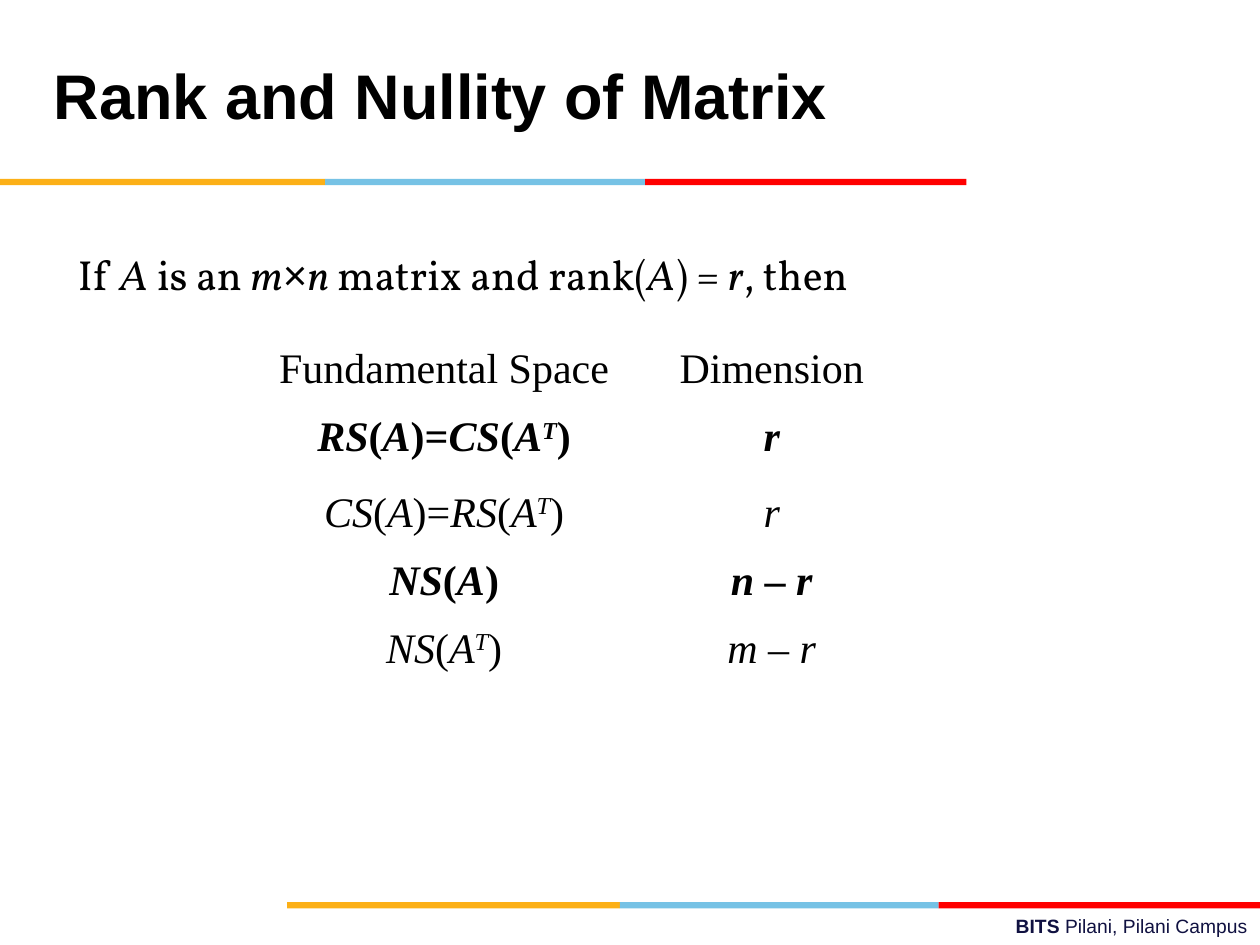
from pptx import Presentation
from pptx.dml.color import RGBColor
from pptx.enum.shapes import MSO_SHAPE
from pptx.enum.text import MSO_ANCHOR, PP_ALIGN
from pptx.util import Inches, Pt

RECTANGLE = MSO_SHAPE.RECTANGLE
TOP, MIDDLE = MSO_ANCHOR.TOP, MSO_ANCHOR.MIDDLE
LEFT, CENTER, RIGHT = PP_ALIGN.LEFT, PP_ALIGN.CENTER, PP_ALIGN.RIGHT

COLORS = {
    "amber": "FCB017",
    "blue": "76C2E5",
    "red": "FF0000",
    "black": "000000",
    "navy": "101141",
}
SANS, SERIF, BODY = "Arial", "Times New Roman", "Vollkorn"

ROW_HEIGHTS = [0.54, 0.6, 0.54, 0.54, 0.54]
COLUMN_WIDTHS = [2.83, 2.37]
SPACES = [
    ("Fundamental Space", "Dimension", False),
    ("*RS*(*A*)=*CS*(*A^T*)", "*r*", True),
    ("*CS*(*A*)=*RS*(*A^T*)", "*r*", False),
    ("*NS*(*A*)", "*n *–* r*", True),
    ("*NS*(*A^T*)", "*m *–* r*", False),
]


class SlideBuilder:
    def __init__(self, page):
        self.page = page

    def span(self, para, text, font, size, color, bold, italic=False, raised=False):
        if not text:
            return
        span = para.add_run()
        span.text = text
        span.font.name = font
        span.font.size = Pt(size)
        span.font.bold = bold
        span.font.italic = italic
        span.font.color.rgb = RGBColor.from_string(COLORS[color])
        if raised:
            span.font._element.set("baseline", "30000")

    def add_markup(self, para, markup, font, size, color="black", bold=False):
        """Append runs: *...* is italic, and ^ raises the rest of an italic part."""
        for index, part in enumerate(markup.split("*")):
            italic = index % 2 == 1
            base, _, power = part.partition("^")
            self.span(para, base, font, size, color, bold, italic)
            self.span(para, power, font, size, color, bold, italic, raised=True)

    def text_box(self, left, top, width, height, align=LEFT, anchor=TOP, wrap=True):
        """Add an empty text box and return its first paragraph."""
        box = self.page.shapes.add_textbox(
            Inches(left), Inches(top), Inches(width), Inches(height))
        box.text_frame.word_wrap = wrap
        box.text_frame.vertical_anchor = anchor
        para = box.text_frame.paragraphs[0]
        para.alignment = align
        return para

    def stripe(self, left, top, widths):
        """Draw the three-colour rule, segment after segment."""
        for color, width in zip(("amber", "blue", "red"), widths):
            bar = self.page.shapes.add_shape(
                RECTANGLE, Inches(left), Inches(top), Inches(width), Inches(0.05))
            bar.shadow.inherit = False
            bar.fill.solid()
            bar.fill.fore_color.rgb = RGBColor.from_string(COLORS[color])
            bar.line.fill.background()
            left += width

    def table(self, left, top, rows):
        table = self.page.shapes.add_table(
            len(rows), len(COLUMN_WIDTHS), Inches(left), Inches(top),
            Inches(sum(COLUMN_WIDTHS)), Inches(sum(ROW_HEIGHTS))).table
        table.first_row = table.horz_banding = False
        for column, width in zip(table.columns, COLUMN_WIDTHS):
            column.width = Inches(width)
        for row, height, (space, dimension, bold) in zip(table.rows, ROW_HEIGHTS, rows):
            row.height = Inches(height)
            for cell, markup in zip(row.cells, (space, dimension)):
                cell.fill.background()
                para = cell.text_frame.paragraphs[0]
                para.alignment = CENTER
                self.add_markup(para, markup, SERIF, 24, bold=bold)


def main():
    deck = Presentation()
    deck.slide_width, deck.slide_height = Inches(10), Inches(7.5)
    builder = SlideBuilder(deck.slides.add_slide(deck.slide_layouts[6]))

    footer = builder.text_box(3.58, 7.21, 6.42, 0.29, align=RIGHT)
    builder.add_markup(footer, "BITS ", SANS, 11, "navy", bold=True)
    builder.add_markup(footer, "Pilani, Pilani Campus", SANS, 11, "navy")
    builder.stripe(2.28, 7.16, (2.64, 2.53, 2.55))
    builder.stripe(0, 1.42, (2.58, 2.54, 2.55))

    title = builder.text_box(0.33, 0.17, 6.92, 1.25, anchor=MIDDLE)
    title.line_spacing = Pt(36)
    builder.add_markup(title, "Rank and Nullity of Matrix", SANS, 36, bold=True)

    premise = builder.text_box(0.52, 1.92, 6.55, 0.5, wrap=False)
    builder.add_markup(premise, "If *A* is an *m*", BODY, 24)
    builder.add_markup(premise, "×", SANS, 24)
    builder.add_markup(premise, "*n* matrix and rank(*A*) = *r*, then", BODY, 24)

    builder.table(2.11, 2.7, SPACES)
    deck.save("out.pptx")


if __name__ == "__main__":
    main()
